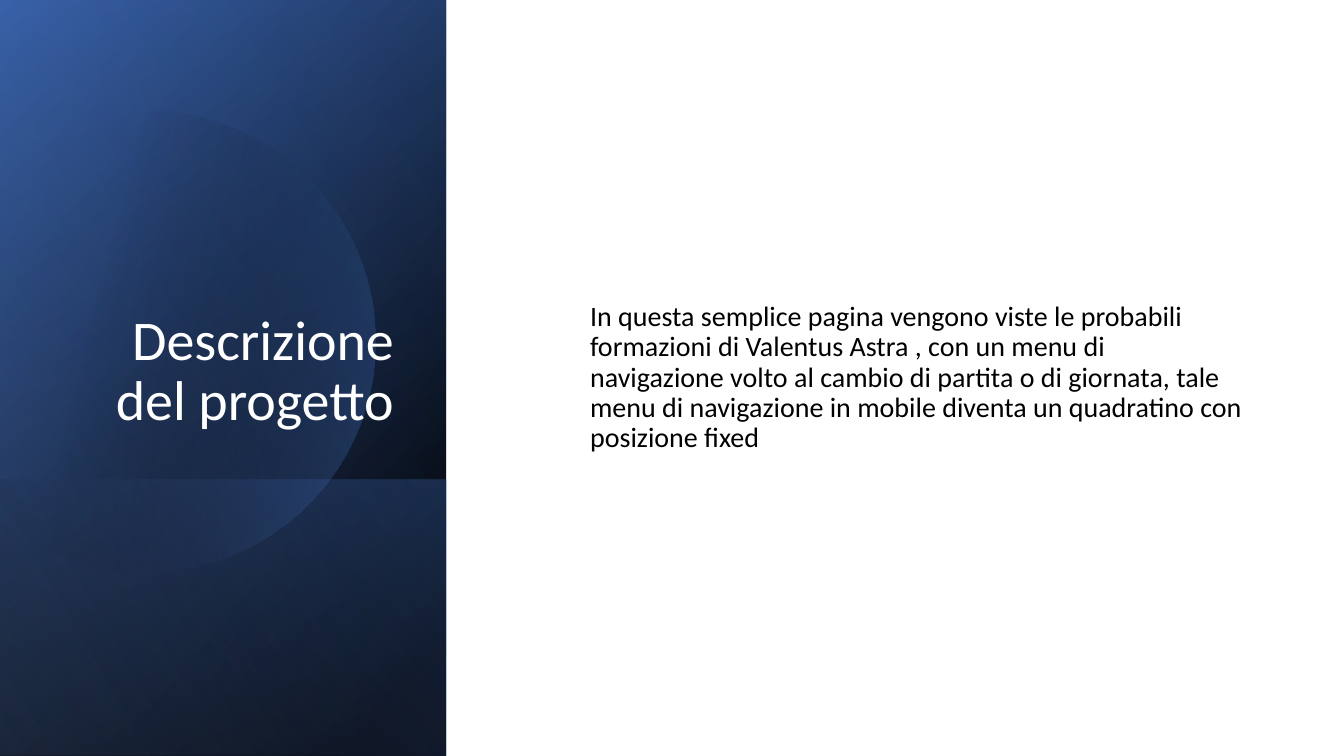
from math import acos, cos, pi, sin

from lxml.etree import SubElement
from pptx import Presentation
from pptx.dml.color import RGBColor
from pptx.enum.shapes import MSO_SHAPE
from pptx.enum.text import MSO_ANCHOR, MSO_AUTO_SIZE, PP_ALIGN
from pptx.oxml.ns import qn
from pptx.util import Pt

TITLE = "Descrizione del progetto"
BODY = ("In questa semplice pagina vengono viste le probabili formazioni di "
        "Valentus Astra , con un menu di navigazione volto al cambio di partita "
        "o di giornata, tale menu di navigazione in mobile diventa un "
        "quadratino con posizione fixed")

WIDTH, HEIGHT = 1344, 756
PANEL_W, BAND_TOP = 446, 480
# top px, clockwise angle, stops as (position %, colour, opacity %)
PANELS_BEHIND = [
    (0, 220, [(8, "000000", 100), (100, "2F5597", 100)]),
    (0, 240, [(0, "000000", 0), (99, "4472C4", 46)]),
    (BAND_TOP, 140, [(2, "4472C4", 29), (100, "000000", 30)]),
]
PANEL_FRONT = (0, 150, [(0, "000000", 0), (99, "8FAADC", 11)])
DISC_X, DISC_Y, DISC_R = 144, 341, 231
DISC_ANGLE, DISC_STOPS = 14, [(29, "000000", 0), (100, "4472C4", 43)]
DISC_STEPS = 90


def px(n):
    return round(n * 914400 / 100.8)


def rgb(value):
    return RGBColor.from_string(value)


def paint(sp, angle, stops):
    """Give a shape a linear gradient with opacities, and no line or shadow."""
    sp.shadow.inherit = False
    sp.line.fill.background()
    sp.fill.gradient()
    sp.fill.gradient_angle = 360 - angle
    gs_list = next(sp._element.iter(qn("a:gsLst")))
    for gs in list(gs_list):
        gs_list.remove(gs)
    for pos, color, opacity in stops:
        gs = SubElement(gs_list, qn("a:gs"), pos=str(pos * 1000))
        clr = SubElement(gs, qn("a:srgbClr"), val=color)
        SubElement(clr, qn("a:alpha"), val=str(opacity * 1000))


def add_panel(shapes, top, angle, stops):
    sp = shapes.add_shape(MSO_SHAPE.RECTANGLE, 0, px(top), px(PANEL_W), px(HEIGHT - top))
    paint(sp, angle, stops)


def add_disc(shapes):
    """Draw the disc, cut off by the slide's left edge."""
    end = acos(-DISC_X / DISC_R)
    turns = [end * (2 * i / DISC_STEPS - 1) for i in range(DISC_STEPS + 1)]
    points = [(px(DISC_X + DISC_R * cos(t)), px(DISC_Y + DISC_R * sin(t))) for t in turns]
    builder = shapes.build_freeform(*points[0])
    builder.add_line_segments(points[1:], close=True)
    paint(builder.convert_to_shape(), DISC_ANGLE, DISC_STOPS)


def fill_placeholder(sp, text, box, size, color, align, anchor, indent=0):
    sp.left, sp.top, sp.width, sp.height = map(px, box)
    tf = sp.text_frame
    tf.word_wrap = True
    tf.auto_size = MSO_AUTO_SIZE.NONE
    tf.vertical_anchor = anchor
    p = tf.paragraphs[0]
    p.alignment = align
    p.line_spacing = 0.9
    p.space_before = Pt(0)
    pPr = p._p.get_or_add_pPr()
    pPr.set("marL", str(px(indent)))
    pPr.set("indent", "0")
    SubElement(pPr, qn("a:buNone"))
    r = p.add_run()
    r.text = text
    r.font.name = "Calibri"
    r.font.size = Pt(size)
    r.font.color.rgb = rgb(color)


def main():
    prs = Presentation()
    prs.slide_width, prs.slide_height = px(WIDTH), px(HEIGHT)
    slide = prs.slides.add_slide(prs.slide_layouts[1])
    shapes = slide.shapes
    title, body = slide.placeholders

    for panel in PANELS_BEHIND:
        add_panel(shapes, *panel)
    add_disc(shapes)
    add_panel(shapes, *PANEL_FRONT)

    fill_placeholder(title, TITLE, (51, 65, 353, 373), 40, "FFFFFF",
                     PP_ALIGN.RIGHT, MSO_ANCHOR.BOTTOM)
    fill_placeholder(body, BODY, (530, 72, 723, 612), 20, "000000",
                     PP_ALIGN.LEFT, MSO_ANCHOR.MIDDLE, indent=50)
    for sp in (title, body):  # bring the text in front of the panels
        shapes._spTree.append(sp._element)
    prs.save("out.pptx")


if __name__ == "__main__":
    main()
